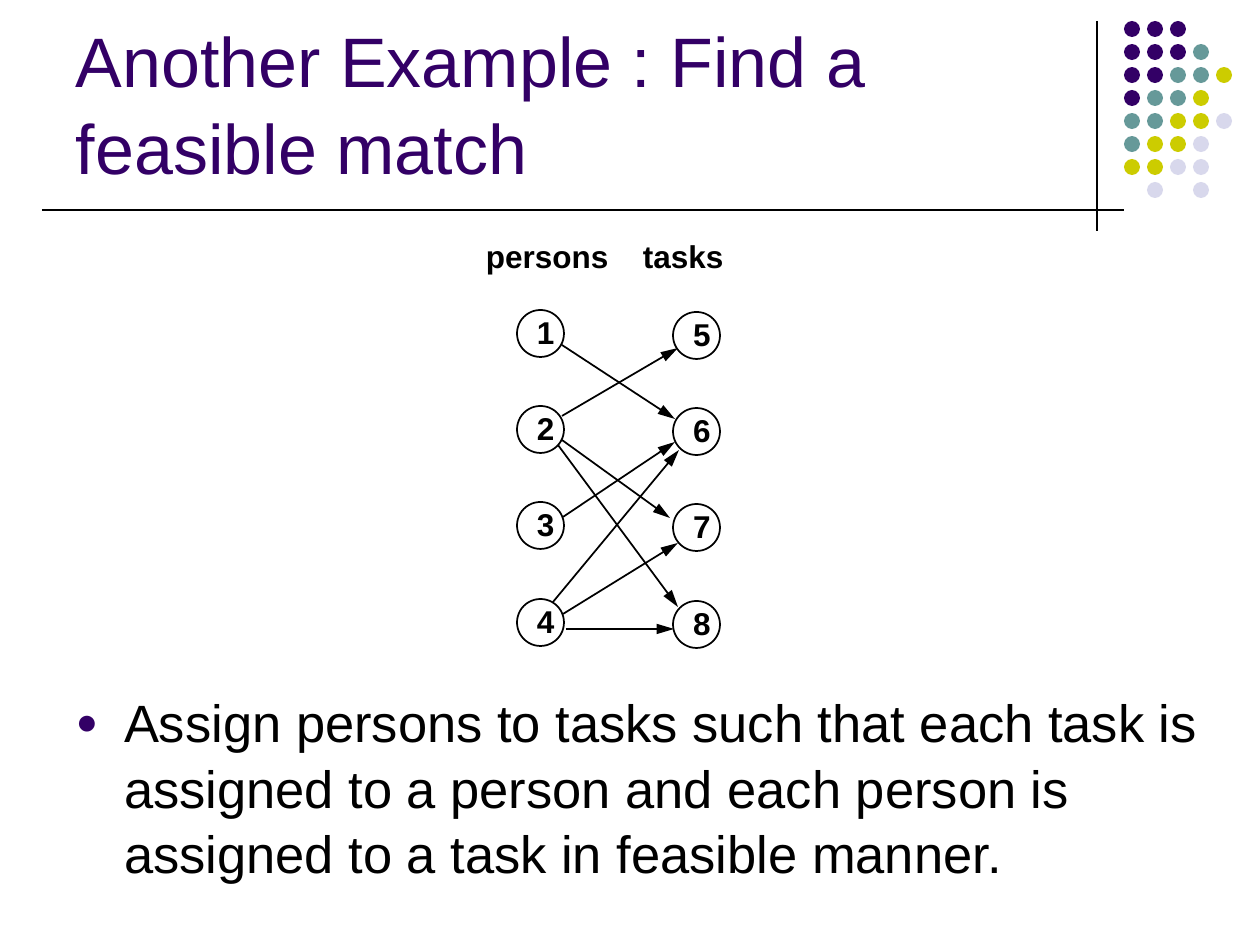
"""Build a slide that shows persons matched to tasks as a bipartite graph."""
from dataclasses import dataclass

import pptx
import pptx.dml.color
import pptx.enum.shapes
import pptx.enum.text
import pptx.oxml
import pptx.oxml.ns
import pptx.util

SCALE = 914400 // 126
ANCHOR = pptx.enum.text.MSO_ANCHOR
SHAPE = pptx.enum.shapes.MSO_SHAPE


@dataclass(frozen=True)
class Theme:
    """Colours, font and type sizes."""
    font: str = "Arial"
    title: float = 40
    body: float = 30
    label: float = 18
    rule: float = 0.75
    edge: float = 1
    ink: str = "000000"
    paper: str = "FFFFFF"
    purple: str = "330066"
    teal: str = "669999"
    olive: str = "CCCC00"
    pale: str = "D8D8EC"


@dataclass(frozen=True)
class Box:
    """A rectangle in pixels."""
    x: int
    y: int
    w: int
    h: int


@dataclass(frozen=True)
class Line:
    """A straight line in pixels."""
    x1: int
    y1: int
    x2: int
    y2: int


@dataclass(frozen=True)
class Column:
    """A column of numbered nodes under a heading."""
    heading: str
    heading_box: Box
    x: int
    y: int
    first: int


THEME = Theme()
DOT, DOT_STEP, DOT_X, DOT_Y = 16, 23, 1124, 21
DOTS = ("PPP", "PPPT", "PPTTO", "PTTO", "TTOOL", "TOOL", "OOLL", " L L")
DOT_COLORS = {"P": THEME.purple, "T": THEME.teal, "O": THEME.olive, "L": THEME.pale}
RULES = (Line(1097, 21, 1097, 231), Line(42, 210, 1124, 210))
NODE, NODE_SPAN, NODE_COUNT = 47, 289, 4
COLUMNS = (
    Column("persons", Box(473, 231, 157, 50), 517, 310, 1),
    Column("tasks", Box(630, 231, 136, 50), 673, 312, 5),
)
EDGES = (
    Line(562, 345, 675, 419),
    Line(562, 440, 670, 518),
    Line(558, 445, 678, 607),
    Line(553, 602, 679, 450),
    Line(563, 614, 678, 543),
    Line(562, 416, 678, 348),
    Line(563, 517, 675, 442),
    Line(566, 629, 674, 629),
)


def px(n: int) -> int:
    """Turn pixels into EMU."""
    return n * SCALE


def rgb(color: str) -> pptx.dml.color.RGBColor:
    """Turn a hex string into a colour."""
    return pptx.dml.color.RGBColor.from_string(color)


def place(sp, box: Box) -> None:
    """Move and size a shape."""
    sp.left, sp.top, sp.width, sp.height = map(px, (box.x, box.y, box.w, box.h))


def write(sp, text: str, *, size: float, color: str = THEME.ink, bold: bool = False,
          anchor=ANCHOR.TOP, inset: tuple = (13, 6), wrap: bool = True,
          before: float = 0, spacing: float = 1.0):
    """Put formatted text in a shape and return its paragraph."""
    tf = sp.text_frame
    tf.word_wrap = wrap
    tf.auto_size = pptx.enum.text.MSO_AUTO_SIZE.NONE
    tf.vertical_anchor = anchor
    tf.margin_left = tf.margin_right = px(inset[0])
    tf.margin_top = tf.margin_bottom = px(inset[1])
    p = tf.paragraphs[0]
    p.alignment = pptx.enum.text.PP_ALIGN.LEFT
    p.space_before = pptx.util.Pt(before)
    p.line_spacing = spacing
    r = p.add_run()
    r.text = text
    r.font.name = THEME.font
    r.font.size = pptx.util.Pt(size)
    r.font.bold = bold
    r.font.color.rgb = rgb(color)
    return p


def set_bullet(p, indent: int) -> None:
    """Give a paragraph a small round bullet and a hanging indent."""
    ppr = p._p.get_or_add_pPr()
    ppr.set("marL", str(px(indent)))
    ppr.set("indent", str(-px(indent)))
    ns = pptx.oxml.ns.nsdecls("a")
    for xml in (f'<a:buClr {ns}><a:srgbClr val="{THEME.purple}"/></a:buClr>',
                f'<a:buSzPct {ns} val="70000"/>',
                f'<a:buFont {ns} typeface="{THEME.font}"/>',
                f'<a:buChar {ns} char="●"/>'):
        ppr.append(pptx.oxml.parse_xml(xml))


def add_circle(s, x: int, y: int, d: int, fill: str, line: str = "") -> None:
    """Draw a filled circle, outlined when a line colour is given."""
    sp = s.shapes.add_shape(SHAPE.OVAL, px(x), px(y), px(d), px(d))
    sp.shadow.inherit = False
    sp.fill.solid()
    sp.fill.fore_color.rgb = rgb(fill)
    if line:
        sp.line.color.rgb = rgb(line)
        sp.line.width = pptx.util.Pt(THEME.edge)
    else:
        sp.line.fill.background()


def add_line(s, line: Line, width: float, arrow: bool = False) -> None:
    """Draw a line, with an arrowhead at its end if asked."""
    c = s.shapes.add_connector(pptx.enum.shapes.MSO_CONNECTOR.STRAIGHT,
                               px(line.x1), px(line.y1), px(line.x2), px(line.y2))
    c.line.color.rgb = rgb(THEME.ink)
    c.line.width = pptx.util.Pt(width)
    ns = pptx.oxml.ns.nsdecls("a")
    if arrow:
        c.line._get_or_add_ln().append(pptx.oxml.parse_xml(
            f'<a:tailEnd {ns} type="triangle" w="med" len="lg"/>'))
    c._element.spPr.append(pptx.oxml.parse_xml(f"<a:effectLst {ns}/>"))


def add_text(s, box: Box, text: str, **fmt) -> None:
    """Add a text box with formatted text."""
    sp = s.shapes.add_textbox(0, 0, 0, 0)
    place(sp, box)
    write(sp, text, **fmt)


def add_column(s, col: Column) -> None:
    """Draw a heading and its numbered nodes."""
    for i in range(NODE_COUNT):
        y = col.y + i * NODE_SPAN // (NODE_COUNT - 1)
        add_circle(s, col.x, y, NODE, THEME.paper, THEME.ink)
        add_text(s, Box(col.x + 20, y + 3, 18, 38), str(col.first + i),
                 size=THEME.label, bold=True, inset=(0, 0), wrap=False)
    add_text(s, col.heading_box, col.heading, size=THEME.label, bold=True)


def main() -> None:
    """Build and save the slide."""
    prs = pptx.Presentation()
    prs.slide_width, prs.slide_height = px(1260), px(945)
    s = prs.slides.add_slide(prs.slide_layouts[1])
    title, body = s.placeholders
    place(title, Box(63, 16, 1040, 179))
    write(title, "Another Example : Find a feasible match", size=THEME.title,
          color=THEME.purple, anchor=ANCHOR.BOTTOM, spacing=1.04)
    place(body, Box(63, 682, 1166, 210))
    p = write(body, "Assign persons to tasks such that each task is assigned to a person "
              "and each person is assigned to a task in feasible manner.",
              size=THEME.body, before=7.5, spacing=1.04)
    set_bullet(p, 48)
    for line in RULES:
        add_line(s, line, THEME.rule)
    for row, codes in enumerate(DOTS):
        for col, code in enumerate(codes):
            if code in DOT_COLORS:
                add_circle(s, DOT_X + col * DOT_STEP, DOT_Y + row * DOT_STEP,
                           DOT, DOT_COLORS[code])
    for column in COLUMNS:
        add_column(s, column)
    for edge in EDGES:
        add_line(s, edge, THEME.edge, arrow=True)
    prs.save("out.pptx")


main()
